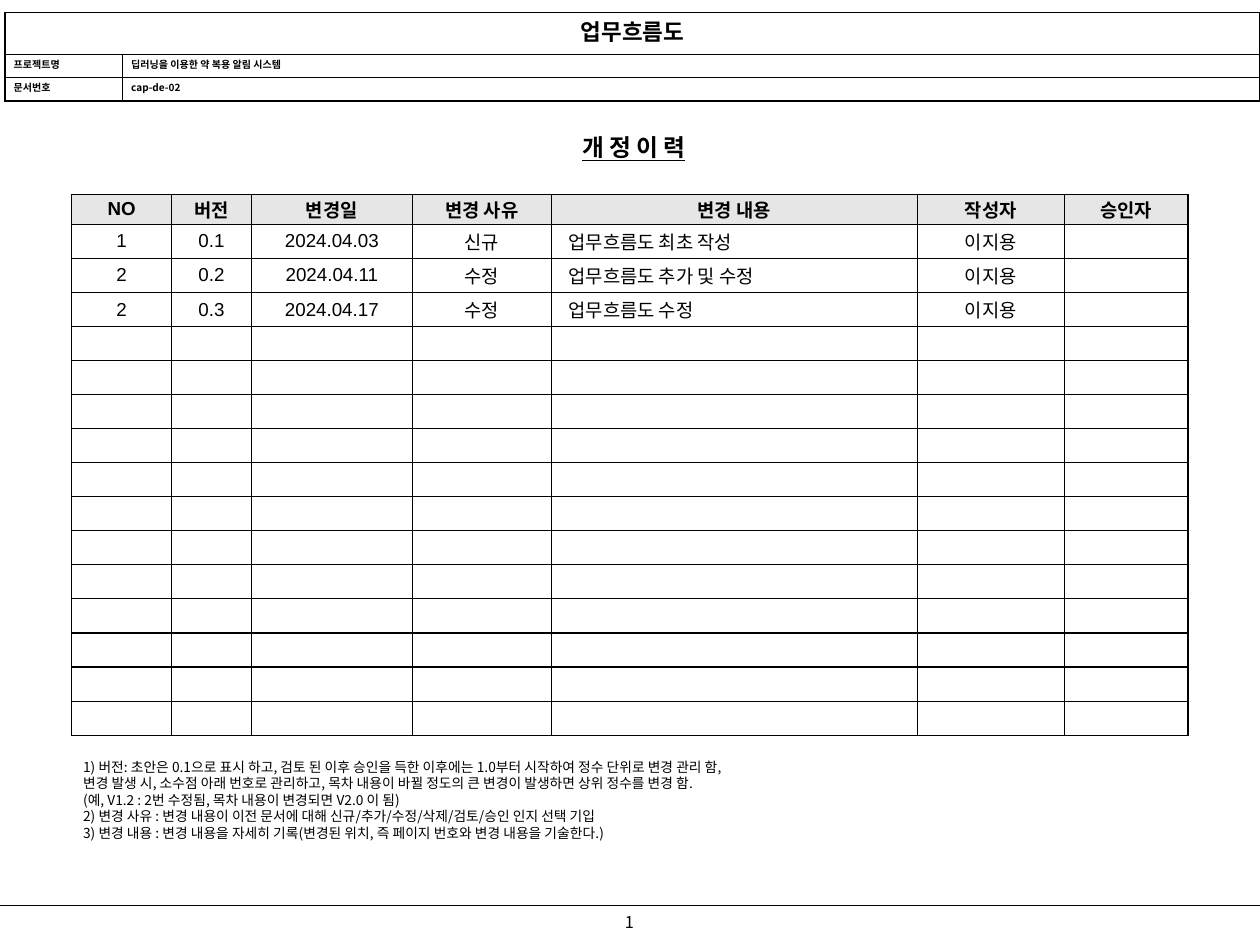
"""Build the revision history slide of a workflow document."""
from lxml.etree import SubElement
from pptx import Presentation
from pptx.dml.color import RGBColor
from pptx.enum.shapes import MSO_CONNECTOR
from pptx.enum.text import MSO_ANCHOR, MSO_AUTO_SIZE, PP_ALIGN
from pptx.oxml import parse_xml
from pptx.oxml.ns import nsdecls, qn
from pptx.util import Pt

BLACK = RGBColor(0, 0, 0)
WHITE = RGBColor(255, 255, 255)
GRAY = RGBColor(0xE6, 0xE6, 0xE6)
NOTO = "Noto Sans CJK KR"
LEFT, CENTER = PP_ALIGN.LEFT, PP_ALIGN.CENTER


def write(para, text, size, align=LEFT, bold=False, face=NOTO):
    para.text = text
    para.alignment = align
    font = para.font
    font.size, font.bold, font.name = Pt(size), bold, face
    font.color.rgb = BLACK
    props = para._p.pPr.find(qn("a:defRPr"))
    SubElement(props, qn("a:ea")).set("typeface", NOTO)


def add_grid(left, top, widths, heights):
    table = slide.shapes.add_table(
        len(heights), len(widths), Pt(left), Pt(top),
        Pt(sum(widths)), Pt(sum(heights))).table
    table.first_row = table.horz_banding = False
    for column, width in zip(table.columns, widths):
        column.width = Pt(width)
    for row, height in zip(table.rows, heights):
        row.height = Pt(height)
    for cell in table.iter_cells():
        props = cell._tc.get_or_add_tcPr()
        for side in ("lnL", "lnR", "lnT", "lnB"):
            props.append(parse_xml(
                f'<a:{side} {nsdecls("a")} w="{Pt(1)}"><a:solidFill>'
                f'<a:srgbClr val="{BLACK}"/></a:solidFill></a:{side}>'))
    return table


deck = Presentation()
deck.slide_width, deck.slide_height = Pt(1008), Pt(756)
slide = deck.slides.add_slide(deck.slide_layouts[5])

title = slide.shapes.title
title.left, title.top, title.width, title.height = Pt(419), Pt(101), Pt(176), Pt(34)
frame = title.text_frame
frame.auto_size = MSO_AUTO_SIZE.NONE
frame.vertical_anchor = MSO_ANCHOR.MIDDLE
write(frame.paragraphs[0], "개 정 이 력", 19, CENTER, True)
frame.paragraphs[0].font.underline = True

head = add_grid(4, 10, [94, 910], [33.6, 18.6, 18.6])
head.cell(0, 0).merge(head.cell(0, 1))
labels = [
    ["업무흐름도", ""],
    ["프로젝트명", "딥러닝을 이용한 약 복용 알림 시스템"],
    ["문서번호", "cap-de-02"],
]
for r, line in enumerate(labels):
    for c, text in enumerate(line):
        cell = head.cell(r, c)
        cell.fill.solid()
        cell.fill.fore_color.rgb = WHITE
        cell.margin_left = cell.margin_right = Pt(7)
        cell.margin_top = cell.margin_bottom = Pt(1.5)
        size, align = (8, LEFT) if r else (18, CENTER)
        write(cell.text_frame.paragraphs[0], text, size, align, True)

history = [
    ["NO", "버전", "변경일", "변경 사유", "변경 내용", "작성자", "승인자"],
    ["1", "0.1", "2024.04.03", "신규", "업무흐름도 최초 작성", "이지용", ""],
    ["2", "0.2", "2024.04.11", "수정", "업무흐름도 추가 및 수정", "이지용", ""],
    ["2", "0.3", "2024.04.17", "수정", "업무흐름도 수정", "이지용", ""],
]
history += [[""] * 7] * 12
grid = add_grid(57, 155.5, [80.5, 63.5, 129, 111, 293, 117.5, 99], [24] + [27.25] * 15)
for r, line in enumerate(history):
    for c, text in enumerate(line):
        cell = grid.cell(r, c)
        if r == 0:
            cell.fill.solid()
            cell.fill.fore_color.rgb = GRAY
        else:
            cell.fill.background()
        align = LEFT if r and c == 4 else CENTER
        cell.vertical_anchor = MSO_ANCHOR.MIDDLE
        cell.margin_left = Pt(14 if align == LEFT else 6.5)
        cell.margin_right = Pt(6.5)
        cell.margin_top = cell.margin_bottom = 0
        write(cell.text_frame.paragraphs[0], text, 15, align, r == 0, "Arial")

notes = [
    "1) 버전: 초안은 0.1으로 표시 하고, 검토 된 이후 승인을 득한 이후에는 1.0부터 시작하여 정수 단위로 변경 관리 함,",
    "변경 발생 시, 소수점 아래 번호로 관리하고, 목차 내용이 바뀔 정도의 큰 변경이 발생하면 상위 정수를 변경 함.",
    "(예, V1.2 : 2번 수정됨, 목차 내용이 변경되면 V2.0 이 됨)",
    "2) 변경 사유 : 변경 내용이 이전 문서에 대해 신규/추가/수정/삭제/검토/승인 인지 선택 기입",
    "3) 변경 내용 : 변경 내용을 자세히 기록(변경된 위치, 즉 페이지 번호와 변경 내용을 기술한다.)",
]
texts = [
    (57, 602, 894, 76, notes, 11, LEFT),
    (484, 724.5, 39, 25, ["1"], 13, CENTER),
]
for left, top, width, height, lines, size, align in texts:
    frame = slide.shapes.add_textbox(Pt(left), Pt(top), Pt(width), Pt(height)).text_frame
    frame.word_wrap = True
    frame.margin_left = frame.margin_right = Pt(9.5)
    frame.margin_top = frame.margin_bottom = Pt(5)
    for i, text in enumerate(lines):
        para = frame.add_paragraph() if i else frame.paragraphs[0]
        write(para, text, size, align)

rule = slide.shapes.add_connector(
    MSO_CONNECTOR.STRAIGHT, 0, Pt(724.5), Pt(1008), Pt(724.5))
rule.line.color.rgb = BLACK
rule.line.width = Pt(1)
SubElement(rule._element.spPr, qn("a:effectLst"))

deck.save("out.pptx")
